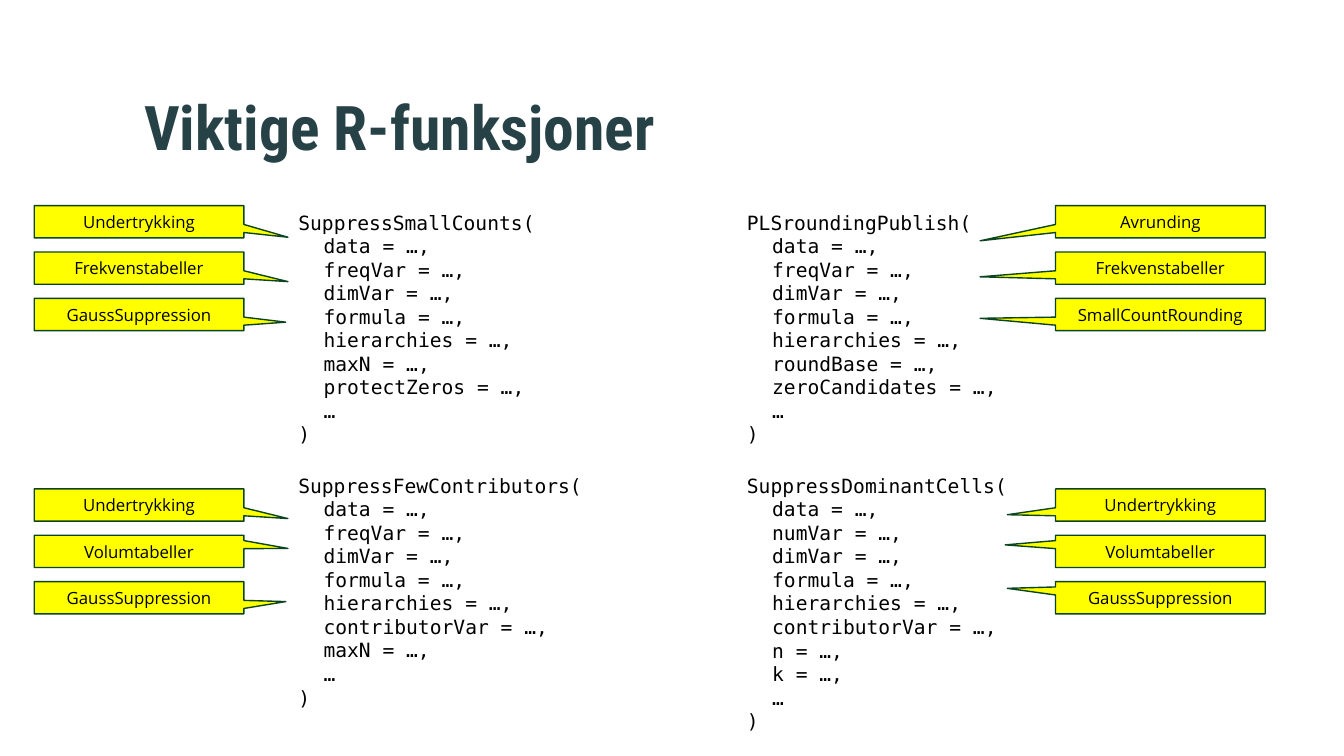
import dataclasses

import pptx
import pptx.dml.color
import pptx.enum.shapes
import pptx.enum.text
import pptx.util

COLORS = {"title": "274247", "text": "000000", "note": "FFFF00", "edge": "0B4520"}
ALIGN = pptx.enum.text.PP_ALIGN
ANCHOR = pptx.enum.text.MSO_ANCHOR
FIT = pptx.enum.text.MSO_AUTO_SIZE

# Text formats
TITLE_FONT = {"name": "Roboto Condensed", "size": pptx.util.Pt(44), "bold": True}
CODE_FONT = {"name": "DejaVu Sans Mono", "size": pptx.util.Pt(14)}
NOTE_FONT = {"name": "Open Sans", "size": pptx.util.Pt(12)}
TITLE_FRAME = {"vertical_anchor": ANCHOR.MIDDLE, "word_wrap": True,
               "auto_size": FIT.NONE, "margin_top": 0,
               "margin_left": pptx.util.Inches(0.1),
               "margin_right": pptx.util.Inches(0.1),
               "margin_bottom": pptx.util.Inches(0.05)}
CODE_FRAME = {"word_wrap": True, "auto_size": FIT.SHAPE_TO_FIT_TEXT}
NOTE_FRAME = {"vertical_anchor": ANCHOR.MIDDLE, "word_wrap": True}

# Grid, in percent of the slide's width (columns) and height (rows)
TITLE_BOX = (9.98, 8, 79.22, 19.07)
CODE_COLS = (21.46, 54.84)
CODE_ROWS = (27.2, 62)
NOTE_COLS = (2.55, 78.54)
NOTE_ROWS = (27.2, 64.67)
NOTE_W, NOTE_H, NOTE_STEP = 15.6, 4.27, 6.13
LINE_H, CODE_PAD = 3.13, 1.5
INDENT = pptx.util.Inches(0.25)


@dataclasses.dataclass
class Note:
    text: str
    tip_x: float
    tip_y: float


@dataclasses.dataclass
class Function:
    col: int
    row: int
    width: float
    name: str
    args: str
    notes: list[Note]


FUNCTIONS = [
    Function(0, 0, 21.83, "SuppressSmallCounts",
             "data freqVar dimVar formula hierarchies maxN protectZeros",
             [Note("Undertrykking", 0.71, 0.48),
              Note("Frekvenstabeller", 0.71, 0.42),
              Note("GaussSuppression", 0.7, 0.24)]),
    Function(0, 1, 23.71, "SuppressFewContributors",
             "data freqVar dimVar formula hierarchies contributorVar maxN",
             [Note("Undertrykking", 0.71, 0.42),
              Note("Volumtabeller", 0.71, -0.09),
              Note("GaussSuppression", 0.7, 0.12)]),
    Function(1, 1, 21.68, "SuppressDominantCells",
             "data numVar dimVar formula hierarchies contributorVar n k",
             [Note("Undertrykking", -0.73, 0.3),
              Note("Volumtabeller", -0.74, -0.2),
              Note("GaussSuppression", -0.73, -0.29)]),
    Function(1, 0, 23.71, "PLSroundingPublish",
             "data freqVar dimVar formula hierarchies roundBase zeroCandidates",
             [Note("Avrunding", -0.86, 0.59),
              Note("Frekvenstabeller", -0.86, 0.27),
              Note("SmallCountRounding", -0.86, 0.12)]),
]

prs = pptx.Presentation()
prs.slide_width = pptx.util.Inches(13.33)
prs.slide_height = pptx.util.Inches(7.5)


def box(x: float, y: float, w: float, h: float) -> list[int]:
    """Turn percentages of the slide into lengths."""
    sides = (prs.slide_width, prs.slide_height) * 2
    return [round(side * part / 100) for side, part in zip(sides, (x, y, w, h))]


def apply(obj, values: dict) -> None:
    for name, value in values.items():
        setattr(obj, name, value)


def rgb(key: str) -> pptx.dml.color.RGBColor:
    return pptx.dml.color.RGBColor.from_string(COLORS[key])


def write(p, text: str, font: dict, color: str) -> None:
    r = p.add_run()
    r.text = text
    apply(r.font, font)
    r.font.color.rgb = rgb(color)


def draw_title(slide, text: str) -> None:
    sp = slide.shapes.title
    apply(sp, dict(zip(("left", "top", "width", "height"), box(*TITLE_BOX))))
    apply(sp.text_frame, TITLE_FRAME)
    p = sp.text_frame.paragraphs[0]
    apply(p, {"alignment": ALIGN.LEFT, "line_spacing": 0.9})
    write(p, text, TITLE_FONT, "title")


def draw_code(slide, fn: Function) -> None:
    inner = [f"{arg} = …," for arg in fn.args.split()] + ["…"]
    lines = [f"{fn.name}(", *inner, ")"]
    height = LINE_H * len(lines) + CODE_PAD
    sp = slide.shapes.add_textbox(
        *box(CODE_COLS[fn.col], CODE_ROWS[fn.row], fn.width, height))
    tf = sp.text_frame
    apply(tf, CODE_FRAME)
    for i, line in enumerate(lines):
        p = tf.add_paragraph() if i else tf.paragraphs[0]
        if line in inner:
            p._p.get_or_add_pPr().set("marL", str(INDENT))
        write(p, line, CODE_FONT, "text")


def draw_note(slide, note: Note, x: float, y: float) -> None:
    sp = slide.shapes.add_shape(
        pptx.enum.shapes.MSO_SHAPE.RECTANGULAR_CALLOUT, *box(x, y, NOTE_W, NOTE_H))
    sp.adjustments[0], sp.adjustments[1] = note.tip_x, note.tip_y
    sp.shadow.inherit = False
    sp.fill.solid()
    sp.fill.fore_color.rgb = rgb("note")
    sp.line.color.rgb = rgb("edge")
    sp.line.width = pptx.util.Pt(1)
    apply(sp.text_frame, NOTE_FRAME)
    p = sp.text_frame.paragraphs[0]
    p.alignment = ALIGN.CENTER
    write(p, note.text, NOTE_FONT, "text")


def main() -> None:
    slide = prs.slides.add_slide(prs.slide_layouts[5])
    draw_title(slide, "Viktige R-funksjoner")

    # Function signatures, each with its column of callouts
    for fn in FUNCTIONS:
        draw_code(slide, fn)
        for i, note in enumerate(fn.notes):
            draw_note(slide, note, NOTE_COLS[fn.col],
                      NOTE_ROWS[fn.row] + i * NOTE_STEP)

    prs.save("out.pptx")


if __name__ == "__main__":
    main()
